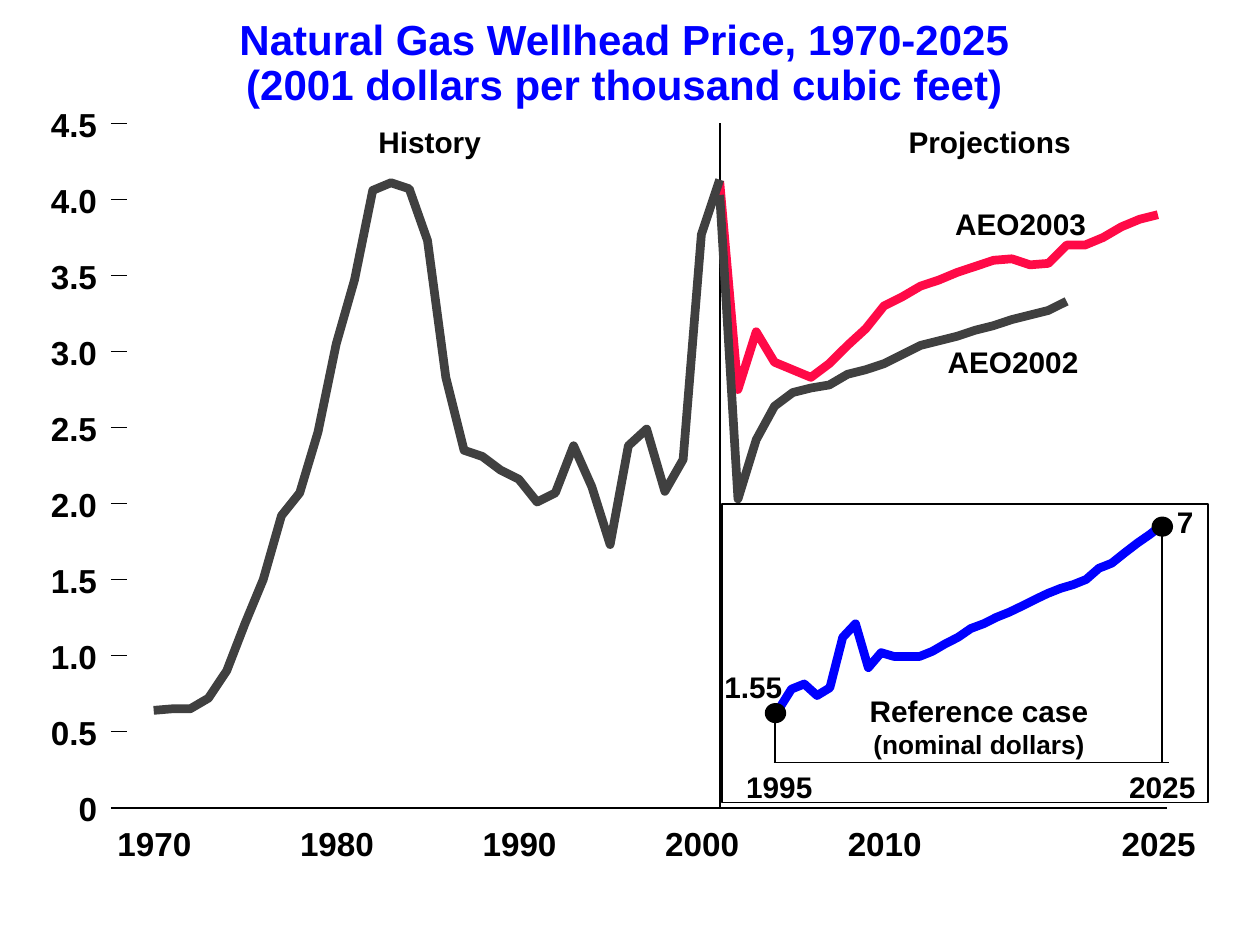
from collections import namedtuple

from lxml.etree import SubElement
from pptx import Presentation
from pptx.dml.color import RGBColor
from pptx.enum.shapes import MSO_CONNECTOR as Connector, MSO_SHAPE as Shape
from pptx.enum.text import PP_ALIGN as Align
from pptx.oxml.ns import qn
from pptx.util import Inches, Pt

COLORS = {"ink": "000000", "blue": "0000FF", "red": "FF0A47", "gray": "404040"}
FONT = "Arial"
Box = namedtuple("Box", "left top width height")

HISTORY = [
    0.64, 0.65, 0.65, 0.72, 0.90, 1.21, 1.50, 1.92, 2.07, 2.47, 3.05,
    3.47, 4.06, 4.11, 4.07, 3.73, 2.83, 2.35, 2.31, 2.22, 2.16, 2.01,
    2.07, 2.38, 2.11, 1.73, 2.38, 2.49, 2.08, 2.29, 3.77, 4.13,
]
AEO2003 = [
    4.12, 2.75, 3.13, 2.93, 2.88, 2.83, 2.92, 3.04, 3.15, 3.30, 3.36, 3.43, 3.47,
    3.52, 3.56, 3.60, 3.61, 3.57, 3.58, 3.70, 3.70, 3.75, 3.82, 3.87, 3.90,
]
AEO2002 = [
    4.03, 2.03, 2.42, 2.64, 2.73, 2.76, 2.78, 2.85, 2.88, 2.92,
    2.98, 3.04, 3.07, 3.10, 3.14, 3.17, 3.21, 3.24, 3.27, 3.33,
]
NOMINAL = [
    1.55, 2.15, 2.30, 1.96, 2.19, 3.67, 4.07, 2.78, 3.22, 3.11, 3.11,
    3.11, 3.26, 3.48, 3.67, 3.93, 4.07, 4.26, 4.41, 4.59, 4.78, 4.96,
    5.11, 5.22, 5.37, 5.70, 5.85, 6.15, 6.44, 6.70, 7.00,
]


def color(name):
    """Return the named palette colour."""
    return RGBColor.from_string(COLORS[name])


def add_label(page, box, *lines, sizes=(17,), ink="ink", align=Align.CENTER, spacing=None):
    """Place bold lines of text in a box given in inches."""
    frame = page.shapes.add_textbox(*map(Inches, box)).text_frame
    frame.margin_left = frame.margin_right = frame.margin_top = frame.margin_bottom = 0
    frame.word_wrap = False
    for index, line in enumerate(lines):
        para = frame.paragraphs[0] if index == 0 else frame.add_paragraph()
        para.alignment = align
        para.line_spacing = spacing
        span = para.add_run()
        span.text = line
        span.font.name = FONT
        span.font.size = Pt(sizes[index % len(sizes)])
        span.font.bold = True
        span.font.color.rgb = color(ink)


def add_rule(page, start, end, weight=1):
    """Draw a straight black line between two points in inches."""
    rule = page.shapes.add_connector(Connector.STRAIGHT, *map(Inches, start + end))
    rule.line.color.rgb = color("ink")
    rule.line.width = Pt(weight)
    SubElement(rule._element.spPr, qn("a:effectLst"))


def add_series(page, box, prices, first, span, peak, ink):
    """Draw prices as an open outline, one step a year across the box."""
    points = [
        (
            Inches(box.left + (first + step) * box.width / span),
            Inches(box.top + box.height * (1 - price / peak)),
        )
        for step, price in enumerate(prices)
    ]
    builder = page.shapes.build_freeform(*points[0])
    builder.add_line_segments(points[1:], close=False)
    curve = builder.convert_to_shape()
    curve.shadow.inherit = False
    curve.fill.background()
    curve.line.color.rgb = color(ink)
    curve.line.width = Pt(5)


def add_title(page, box):
    """Write the two-line heading."""
    add_label(
        page, box,
        "Natural Gas Wellhead Price, 1970-2025", "(2001 dollars per thousand cubic feet)",
        sizes=(24,), ink="blue", spacing=0.9,
    )


def add_price_chart(page, box):
    """Draw the price curves with their axes and labels."""
    bottom = box.top + box.height
    year_step = box.width / 55
    divide = box.left + 31 * year_step
    add_rule(page, (divide, box.top), (divide, bottom))
    for prices, first, ink in (
        (AEO2003, 31, "red"), (AEO2002, 31, "gray"), (HISTORY, 0, "gray"),
    ):
        add_series(page, box, prices, first, 55, 4.5, ink)

    axis = box.left - 0.21
    for tick in range(10):
        level = bottom - tick * box.height / 9
        text = f"{tick / 2:.1f}" if tick else "0"
        width = 0.37 if tick else 0.15
        add_rule(page, (axis - 0.13, level), (axis, level))
        add_label(
            page, Box(axis - 0.24 - width, level - 0.15, width, 0.32), text,
            sizes=(19,), align=Align.RIGHT,
        )
    add_rule(page, (axis, bottom), (box.left + box.width + 0.07, bottom))
    for year in (1970, 1980, 1990, 2000, 2010, 2025):
        middle = box.left + (year - 1970) * year_step
        add_label(page, Box(middle - 0.29, bottom + 0.12, 0.59, 0.32), str(year), sizes=(19,))

    for text, left, top, width in (
        ("History", 1.78, 0, 0.82), ("Projections", 5.99, 0, 1.29),
        ("AEO2003", 6.36, 0.65, 1.04), ("AEO2002", 6.3, 1.75, 1.04),
    ):
        add_label(page, Box(box.left + left, box.top + top, width, 0.28), text)


def add_nominal_inset(page, box):
    """Draw the framed reference case curve in nominal dollars."""
    plot = Box(box.left + 0.45, box.top + 0.16, 3.05, 1.89)
    base = plot.top + plot.height
    ends = ((box.left + 0.42, box.top + 1.66), (box.left + 3.49, box.top + 0.18))
    for middle, level in ends:
        add_rule(page, (middle, level), (middle, base))
    add_series(page, plot, NOMINAL, 0, 30, 7, "blue")
    add_rule(page, (plot.left - 0.04, base), (plot.left + plot.width + 0.05, base), weight=0.88)

    panel = page.shapes.add_shape(Shape.RECTANGLE, *map(Inches, box))
    panel.shadow.inherit = False
    panel.fill.background()
    panel.line.color.rgb = color("ink")
    panel.line.width = Pt(1)

    for text, left, top, width in (
        ("1995", 0.19, 2.1, 0.53), ("2025", 3.23, 2.1, 0.53),
        ("1.55", 0, 1.31, 0.5), ("7", 3.6, 0, 0.15),
    ):
        add_label(page, Box(box.left + left, box.top + top, width, 0.28), text)
    add_label(
        page, Box(box.left + 1.17, box.top + 1.5, 1.74, 0.53),
        "Reference case", "(nominal dollars)", sizes=(17, 15),
    )
    for middle, level in ends:
        dot = page.shapes.add_shape(
            Shape.OVAL, *map(Inches, (middle - 0.08, level - 0.08, 0.17, 0.16))
        )
        dot.shadow.inherit = False
        dot.fill.solid()
        dot.fill.fore_color.rgb = color("ink")
        dot.line.fill.background()


def main():
    """Build the slide and save it."""
    deck = Presentation()
    deck.slide_width, deck.slide_height = Inches(10), Inches(7.5)
    page = deck.slides.add_slide(deck.slide_layouts[6])
    add_title(page, Box(1.9, 0.15, 6.11, 0.72))
    add_price_chart(page, Box(1.22, 0.98, 7.97, 5.43))
    add_nominal_inset(page, Box(5.73, 4, 3.86, 2.37))
    deck.save("out.pptx")


if __name__ == "__main__":
    main()
